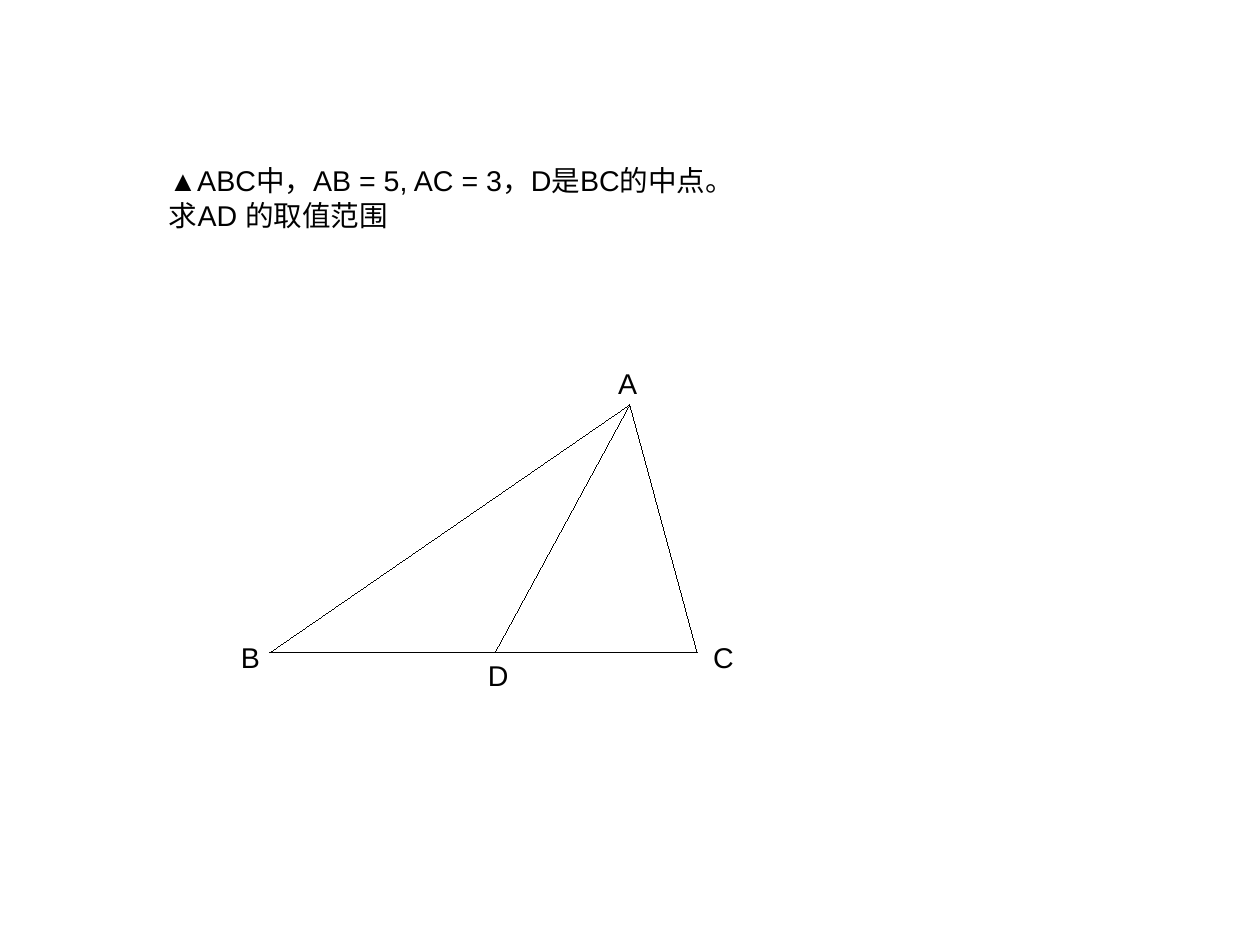
from lxml import etree
from pptx import Presentation
from pptx.dml.color import RGBColor
from pptx.enum import shapes, text
from pptx.oxml import ns
from pptx.util import Inches, Pt

BLACK = RGBColor(0, 0, 0)
CM_PER_INCH = 2.54

# Page of 28 by 21 cm
deck = Presentation()
deck.slide_width = Inches(28 / CM_PER_INCH)
deck.slide_height = Inches(21 / CM_PER_INCH)
slide = deck.slides.add_slide(deck.slide_layouts[6])


def write(left, top, width, height, lines):
    box = slide.shapes.add_textbox(
        Inches(left), Inches(top), Inches(width), Inches(height))
    frame = box.text_frame
    frame.word_wrap = False
    frame.auto_size = text.MSO_AUTO_SIZE.SHAPE_TO_FIT_TEXT
    frame.text = "\n".join(lines)
    for paragraph in frame.paragraphs:
        paragraph.font.name = "Arial"
        paragraph.font.size = Pt(18)
        paragraph.font.color.rgb = BLACK


# Problem statement
write(1.38, 1.38, 5.58, 0.82, [
    "▲ABC中，AB = 5, AC = 3，D是BC的中点。",
    "求AD 的取值范围",
])

# Triangle ABC with median AD, in hairlines
points = {"A": (5.51, 3.54), "B": (2.36, 5.71),
          "C": (6.1, 5.71), "D": (4.33, 5.71)}
for start, end in ("AB", "AC", "BC", "AD"):
    ends = [Inches(value) for value in points[start] + points[end]]
    segment = slide.shapes.add_connector(shapes.MSO_CONNECTOR.STRAIGHT, *ends)
    segment.line.color.rgb = BLACK
    outline = segment._element.spPr
    outline.find(ns.qn("a:ln")).set("w", "0")
    etree.SubElement(outline, ns.qn("a:effectLst"))

# Point labels
for label, left, top, width in [
    ("A", 5.31, 3.15, 0.36),
    ("B", 2.01, 5.55, 0.36),
    ("C", 6.14, 5.55, 0.38),
    ("D", 4.17, 5.71, 0.38),
]:
    write(left, top, width, 0.38, [label])

deck.save("out.pptx")
